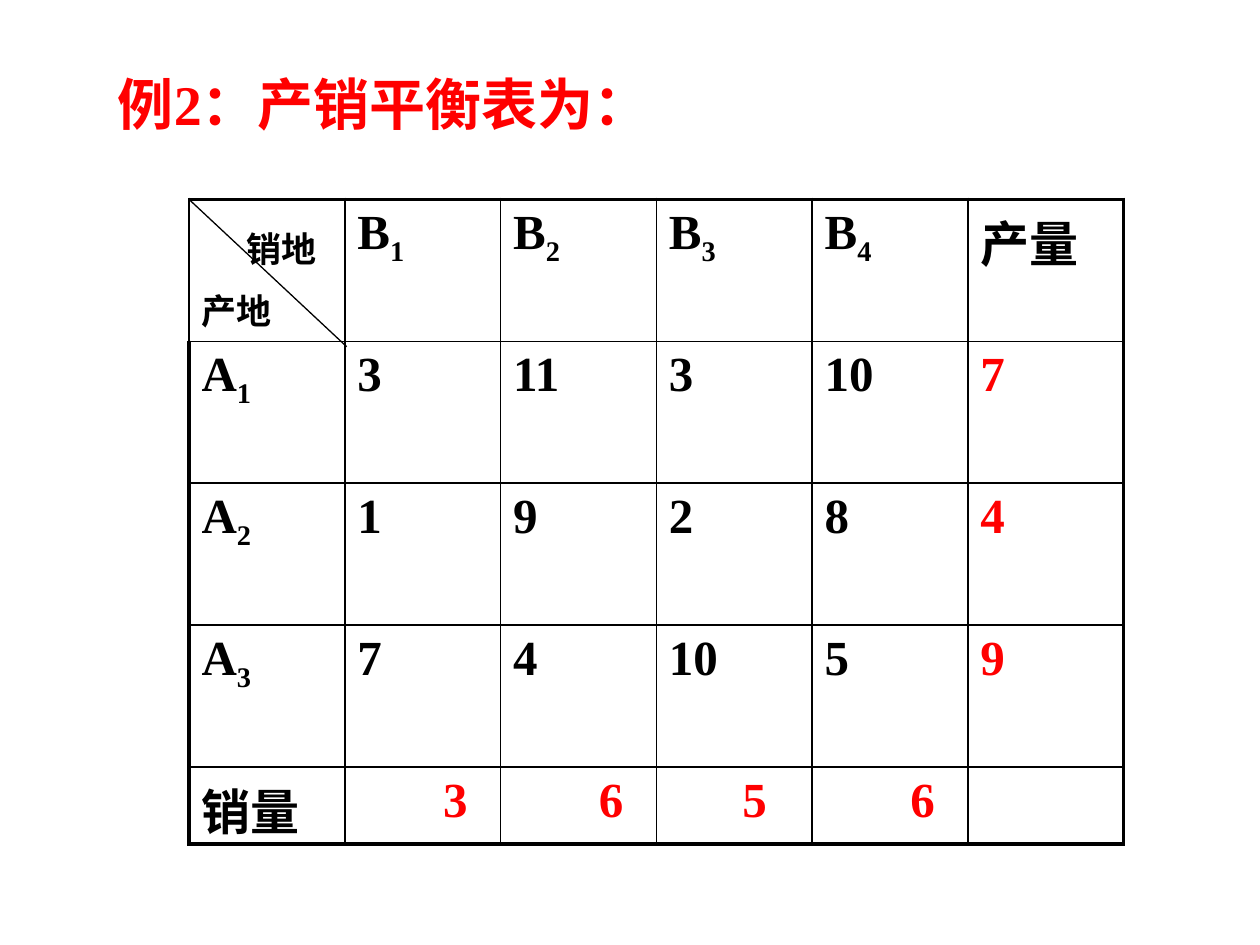
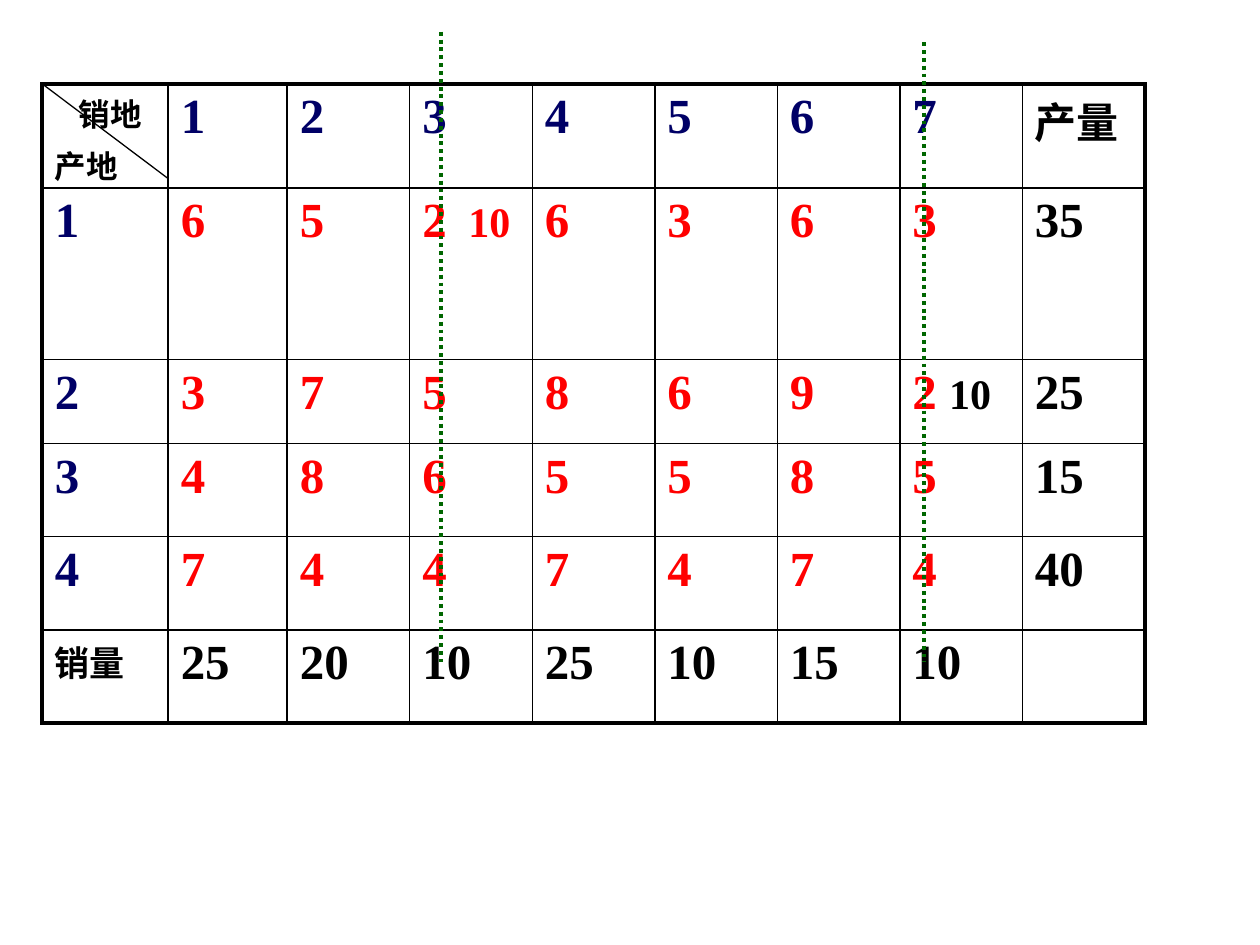
from dataclasses import dataclass

from lxml.etree import SubElement
from pptx import Presentation
from pptx.dml.color import RGBColor
from pptx.enum.dml import MSO_LINE
from pptx.enum.shapes import MSO_CONNECTOR
from pptx.enum.text import MSO_ANCHOR, MSO_AUTO_SIZE, PP_ALIGN
from pptx.oxml.ns import qn
from pptx.util import Cm, Pt

TITLE_ONLY, BLANK = 5, 6


@dataclass(frozen=True)
class Theme:
    font: str = "Times New Roman"
    black: str = "000000"
    red: str = "FF0000"
    navy: str = "000066"
    green: str = "006600"
    title: int = 32
    body: int = 28
    medium: int = 24
    label: int = 20
    small: int = 18
    thick: float = 2.25
    thin: float = 1
    hairline: float = 0.75


@dataclass
class Entry:
    """Cell content; a line break starts a paragraph, an underscore a subscript."""
    text: str
    color: str
    size: int
    indent: float = 0
    top: float = 0.13
    gap: float = 0
    extra: str = ""
    extra_color: str = ""
    tab: float = 0


def apply(target, values):
    for name, value in values.items():
        setattr(target, name, value)


class Deck:
    def __init__(self, theme):
        self.theme = theme
        self.deck = Presentation()
        apply(self.deck, {"slide_width": Cm(25.4), "slide_height": Cm(19.05)})
        self.page = None

    def add_page(self, layout):
        self.page = self.deck.slides.add_slide(self.deck.slide_layouts[layout])

    def span(self, para, text, size, color):
        span = para.add_run()
        span.text = text
        apply(span.font, {"name": self.theme.font, "size": Pt(size), "bold": True})
        span.font.color.rgb = RGBColor.from_string(color)
        return span

    def title(self, text, left, top, width, height):
        box = self.page.shapes.title
        apply(box, {"left": Cm(left), "top": Cm(top),
                    "width": Cm(width), "height": Cm(height)})
        apply(box.text_frame, {"word_wrap": True, "auto_size": MSO_AUTO_SIZE.NONE,
                               "vertical_anchor": MSO_ANCHOR.MIDDLE})
        para = box.text_frame.paragraphs[0]
        para.alignment = PP_ALIGN.LEFT
        self.span(para, text, self.theme.title, self.theme.red)

    def line(self, start, end, color, width, dash=None):
        line = self.page.shapes.add_connector(
            MSO_CONNECTOR.STRAIGHT, *(Cm(value) for value in start + end))
        apply(line.line, {"width": Pt(width), "dash_style": dash})
        line.line.color.rgb = RGBColor.from_string(color)
        SubElement(line._element.spPr, qn("a:effectLst"))

    def borders(self, cell, widths):
        properties = cell._tc.get_or_add_tcPr()
        for side in "LRTB":
            edge = SubElement(properties, qn(f"a:ln{side}"), w=str(Pt(widths[side])))
            fill = SubElement(edge, qn("a:solidFill"))
            SubElement(fill, qn("a:srgbClr"), val=self.theme.black)

    def fill_cell(self, cell, entry):
        apply(cell, {"margin_top": Cm(entry.top), "margin_bottom": 0,
                     "vertical_anchor": MSO_ANCHOR.TOP})
        for index, text in enumerate(entry.text.split("\n")):
            frame = cell.text_frame
            para = frame.add_paragraph() if index else frame.paragraphs[0]
            if index:
                para.space_before = Pt(entry.gap)
            elif entry.indent:
                para._p.get_or_add_pPr().set("marL", str(Cm(entry.indent)))
            if entry.tab:
                stops = SubElement(para._p.get_or_add_pPr(), qn("a:tabLst"))
                SubElement(stops, qn("a:tab"), pos=str(Cm(entry.tab)), algn="l")
            base, _, subscript = text.partition("_")
            if base:
                self.span(para, base, entry.size, entry.color)
            if subscript:
                span = self.span(para, subscript, entry.size, entry.color)
                span.font._element.set("baseline", "-25000")
            if entry.extra:
                self.span(para, entry.extra, self.theme.medium, entry.extra_color)

    def table(self, left, top, widths, heights, entries, corner_left):
        frame = self.page.shapes.add_table(
            len(heights), len(widths), Cm(left), Cm(top),
            Cm(sum(widths)), Cm(sum(heights)))
        table = frame.table
        apply(table, {"first_row": False, "horz_banding": False})
        for column, width in zip(table.columns, widths):
            column.width = Cm(width)
        for row, height in zip(table.rows, heights):
            row.height = Cm(height)
        thick, thin = self.theme.thick, self.theme.thin
        last_row, last_column = len(heights) - 1, len(widths) - 1
        for i, row in enumerate(entries):
            for j, entry in enumerate(row):
                cell = table.cell(i, j)
                edges = {"L": j == 0, "R": j == last_column,
                         "T": i == 0, "B": i == last_row}
                edges = {side: thick if outer else thin for side, outer in edges.items()}
                if i == j == 0:
                    edges["L"] = corner_left
                self.borders(cell, edges)
                cell.fill.background()
                self.fill_cell(cell, entry)


def balance_page(deck):
    theme = deck.theme
    left, top, column, row = 3.81, 4.02, 3.14, 2.86
    rows = [["", "B_1", "B_2", "B_3", "B_4", "产量"],
            ["A_1", "3", "11", "3", "10", "7"],
            ["A_2", "1", "9", "2", "8", "4"],
            ["A_3", "7", "4", "10", "5", "9"],
            ["销量", "3", "6", "5", "6", ""]]
    entries = [[Entry(text, theme.red if i and j == 5 or i == 4 and j else theme.black,
                      theme.body)
                for j, text in enumerate(texts)] for i, texts in enumerate(rows)]
    entries[0][0] = Entry("销地\n产地", theme.black, theme.label,
                          indent=0.9, top=0.45, gap=6.5)
    for entry, indent in zip(entries[4][1:5], (1.73, 1.73, 1.48, 1.73)):
        entry.indent = indent

    deck.add_page(TITLE_ONLY)
    deck.title("例2：产销平衡表为：", 2.12, 1.27, 19.69, 1.6)
    deck.table(left, top, [column] * 6, [row] * 4 + [row / 2], entries, theme.thin)
    deck.line((left, top), (6.99, 6.99), theme.black, theme.hairline)


def demand_page(deck):
    theme = deck.theme
    left, top = 0.85, 1.69
    rows = [["", "1", "2", "3", "4", "5", "6", "7", "产量"],
            ["1", "6", "5", "2", "6", "3", "6", "3", "35"],
            ["2", "3", "7", "5", "8", "6", "9", "2", "25"],
            ["3", "4", "8", "6", "5", "5", "8", "5", "15"],
            ["4", "7", "4", "4", "7", "4", "7", "4", "40"],
            ["销量", "25", "20", "10", "25", "10", "15", "10", ""]]

    def color(i, j):
        if i == 5 or j == 8:
            return theme.black
        return theme.red if i and j else theme.navy

    sizes = {"产量": theme.medium, "销量": theme.label}
    entries = [[Entry(text, color(i, j), sizes.get(text, theme.body))
                for j, text in enumerate(texts)] for i, texts in enumerate(rows)]
    entries[0][0] = Entry("销地\n产地", theme.black, theme.small, indent=0.48, gap=3.6)
    apply(entries[1][3], {"extra": "\t10", "extra_color": theme.red, "tab": 0.93})
    apply(entries[2][7], {"text": "2 ", "extra": "10", "extra_color": theme.black})

    deck.add_page(BLANK)
    deck.table(left, top, [2.54, 2.4] + [2.47] * 7,
               [1.94, 3.46, 1.69] + [1.88] * 3, entries, theme.thick)
    for x, start in ((8.89, 0.64), (18.63, 0.85)):
        deck.line((x, start), (x, 13.34), theme.green, theme.thick, MSO_LINE.ROUND_DOT)
    deck.line((left, top), (3.39, 3.6), theme.black, theme.hairline)


def main():
    deck = Deck(Theme())
    balance_page(deck)
    demand_page(deck)
    deck.deck.save("out.pptx")


if __name__ == "__main__":
    main()
